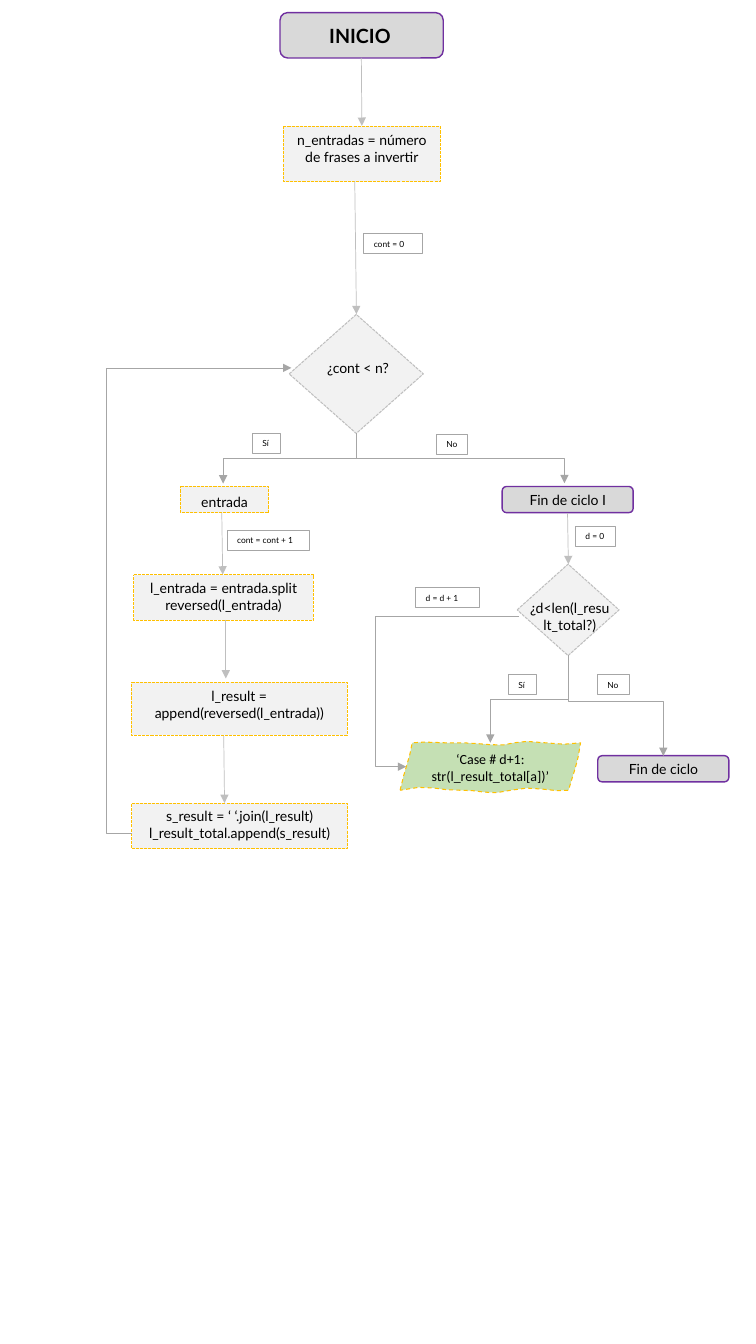
"""Draw the flowchart of a program that reverses phrases."""
from dataclasses import dataclass
from typing import NamedTuple

from lxml import etree
from pptx import Presentation
from pptx.dml.color import RGBColor
from pptx.enum import dml, shapes, text
from pptx.oxml import ns
from pptx.util import Pt

FORM = shapes.MSO_SHAPE
DASH = dml.MSO_LINE


class Style(NamedTuple):
    """Outline, fill and border of a kind of node."""
    form: int
    fill: str
    edge: str
    width: float
    dash: int | None


END = Style(FORM.FLOWCHART_ALTERNATE_PROCESS, "D9D9D9", "7030A0", 1, None)
STEP = Style(FORM.FLOWCHART_PROCESS, "F2F2F2", "FFC000", 0.75, DASH.SQUARE_DOT)
TEST = Style(FORM.FLOWCHART_DECISION, "F2F2F2", "BFBFBF", 0.75, DASH.SQUARE_DOT)


@dataclass
class Node:
    """A box with a caption set off from its corner by dx, dy and dw."""
    style: Style
    words: str
    x: float
    y: float
    w: float
    h: float
    rows: int = 1
    dx: float = 0
    dy: float = 0
    dw: float = 0
    size: int = 10
    bold: bool = False


class Tag(NamedTuple):
    """A small framed note beside an arrow."""
    words: str
    x: float
    y: float
    w: float


class Link(NamedTuple):
    """An arrow; bend is the share of the run before its elbow."""
    x: float
    y: float
    to_x: float
    to_y: float
    bend: float | None = None
    down: bool = False


NODES = [
    Node(END, "INICIO", 200, 9, 116.6, 32.4, 1, 8.2, 4.5, -18.7, 14, True),
    Node(STEP, "n_entradas = número de frases a invertir", 202.4, 90.2, 112, 39.5, 2),
    Node(TEST, "¿cont < n?", 206.6, 224.6, 95.8, 85, dx=1.2, dy=28.8),
    Node(STEP, "entrada", 128.9, 347.4, 63, 18.8, dy=1.8),
    Node(STEP, "l_entrada = entrada.split\nreversed(l_entrada)", 95.5, 410.4, 128.4, 32.8, 2),
    Node(STEP, "l_result = append(reversed(l_entrada))", 93.9, 487.3, 154, 37.9, 2),
    Node(STEP, "s_result = ‘ ‘.join(l_result)\nl_result_total.append(s_result)",
         94, 573.6, 154.3, 32.8, 2),
    Node(END, "Fin de ciclo I", 358.7, 347.5, 93.6, 18.7, 1, 6.2, -0.3, -12.2),
    Node(TEST, "¿d<len(l_result_total?)", 369.4, 403, 72.8, 65.3, 2, 1.2, 21.6),
    Node(END, "Fin de ciclo", 427, 539.8, 93.6, 18.7, 1, 6.2, 0, -12.2),
]
TAGS = [
    Tag("cont = 0", 259.9, 167, 41.8), Tag("No", 311.8, 310.3, 22.3),
    Tag("Sí", 180.3, 309.4, 19.8), Tag("cont = cont + 1", 162.3, 378.7, 59),
    Tag("d = 0", 411.1, 375.8, 28.8), Tag("Sí", 363.2, 482, 20.2),
    Tag("No", 426.8, 482, 22.8), Tag("d = d + 1", 297, 419.8, 45.4),
]
LINKS = [
    Link(258.1, 41.4, 258.5, 89.9), Link(253.4, 129.6, 254.6, 224.4),
    Link(158.4, 366.5, 159.1, 410.4), Link(161.3, 442.8, 161.3, 484.6),
    Link(159.8, 525.6, 160.4, 573.6), Link(405.4, 366.5, 406, 403),
    Link(94.3, 595.4, 208.1, 262.8, -0.16), Link(370.8, 440.6, 290.2, 547.6, 1.27),
    Link(254.9, 309.6, 159.4, 345.4, 0.5, True),
    Link(254.9, 309.6, 403.2, 345.2, 0.5, True),
    Link(406.1, 468, 350.2, 530.6, 0.5, True),
    Link(406.1, 468, 473.8, 540, 0.46, True),
]
RIM = [
    (285.8, 564.5), (289.4, 547.9), (292.3, 543.6), (294.5, 530.6),
    (305.3, 529.2), (318.2, 531.4), (330.5, 530.6), (342.7, 530.6),
    (358.6, 534.2), (367.2, 530.6), (375.8, 527), (401.8, 534.2),
    (414.7, 530.6), (412.6, 546.5), (409.7, 551.5), (406.1, 564.5),
    (396.7, 566.6), (379.4, 560.2), (365, 564.5), (349.9, 568.8),
    (342, 563.8), (328.3, 564.5), (314.6, 565.2), (306, 559.4), (285.8, 564.5),
]


def paint(target, tone: str) -> None:
    """Give a fill or a font one solid colour."""
    fill = getattr(target, "fill", target)
    fill.solid()
    fill.fore_color.rgb = RGBColor.from_string(tone)


def stroke(line, tone: str, width: float, dash: int | None = None) -> None:
    """Set the colour, width and dash of a line."""
    paint(line, tone)
    line.width = Pt(width)
    if dash is not None:
        line.dash_style = dash


def write(shape, words: str, size: int, face: str = "Lato",
          align: int = text.PP_ALIGN.CENTER, bold: bool = False) -> None:
    """Fill a shape with wrapped, formatted text."""
    frame = shape.text_frame
    frame.text = words
    frame.word_wrap = True
    for para in frame.paragraphs:
        para.alignment = align
        for run in para.runs:
            run.font.name, run.font.size, run.font.bold = face, Pt(size), bold
            paint(run.font, "000000")


def add_node(slide, node: Node) -> None:
    """Draw a box grouped with its caption."""
    parts = slide.shapes.add_group_shape().shapes
    style = node.style
    box = parts.add_shape(style.form, Pt(node.x), Pt(node.y), Pt(node.w), Pt(node.h))
    box.shadow.inherit = False
    paint(box, style.fill)
    stroke(box.line, style.edge, style.width, style.dash)
    tall = 1.2 * node.size * node.rows + 7.2
    note = parts.add_textbox(Pt(node.x + node.dx), Pt(node.y + node.dy),
                             Pt(node.w + node.dw), Pt(tall))
    write(note, node.words, node.size, bold=node.bold)


def add_tag(slide, tag: Tag) -> None:
    """Draw a framed note."""
    box = slide.shapes.add_textbox(Pt(tag.x), Pt(tag.y), Pt(tag.w), Pt(14.4))
    stroke(box.line, "A6A6A6", 0.75)
    write(box, tag.words, 6, align=text.PP_ALIGN.LEFT)
    box.text_frame.margin_right = 0


def add_link(slide, link: Link) -> None:
    """Draw an arrow, turned a quarter when it sets off downwards."""
    x, y, to_x, to_y, bend, down = link
    right = to_x > x
    if down:
        mid_x, mid_y = (x + to_x) / 2, (y + to_y) / 2
        half, rise = (to_y - y) / 2, abs(to_x - x) / 2
        side = -half if right else half
        x, to_x, y, to_y = mid_x - side, mid_x + side, mid_y - rise, mid_y + rise
    kind = shapes.MSO_CONNECTOR.STRAIGHT if bend is None else shapes.MSO_CONNECTOR.ELBOW
    arrow = slide.shapes.add_connector(kind, Pt(x), Pt(y), Pt(to_x), Pt(to_y))
    stroke(arrow.line, "BFBFBF" if bend is None else "A6A6A6", 0.5)
    props = arrow._element.spPr
    etree.SubElement(props.find(ns.qn("a:ln")), ns.qn("a:tailEnd"), type="triangle")
    etree.SubElement(props, ns.qn("a:effectLst"))
    if down:
        props.find(ns.qn("a:xfrm")).set("rot", "16200000" if right else "5400000")
    if bend is not None:
        guides = props.find(ns.qn("a:prstGeom")).find(ns.qn("a:avLst"))
        etree.SubElement(guides, ns.qn("a:gd"), name="adj1",
                         fmla=f"val {round(bend * 100000)}")


def add_wave(slide, knots: list, steps: int = 4):
    """Trace a closed outline of cubic curves."""
    dots = []
    for i in range(0, len(knots) - 1, 3):
        for k in range(1, steps + 1):
            t = k / steps
            mix = ((1 - t) ** 3, 3 * t * (1 - t) ** 2, 3 * t * t * (1 - t), t ** 3)
            dots.append(tuple(Pt(sum(m * p[axis] for m, p in zip(mix, knots[i:i + 4])))
                              for axis in (0, 1)))
    pen = slide.shapes.build_freeform(*dots[-1])
    pen.add_line_segments(dots[:-1], close=True)
    wave = pen.convert_to_shape()
    wave.shadow.inherit = False
    return wave


def main() -> None:
    """Build the slide and save it."""
    deck = Presentation()
    deck.slide_width, deck.slide_height = Pt(540), Pt(960)
    slide = deck.slides.add_slide(deck.slide_layouts[6])
    for node in NODES:
        add_node(slide, node)
    wave = add_wave(slide, RIM)
    paint(wave, "C5E0B4")
    stroke(wave.line, "FFC000", 0.75, DASH.DASH)
    write(wave, "‘Case # d+1: str(l_result_total[a])’", 10, "Calibri")
    wave.text_frame.vertical_anchor = text.MSO_ANCHOR.MIDDLE
    for link in LINKS:
        add_link(slide, link)
    for tag in TAGS:
        add_tag(slide, tag)
    deck.save("out.pptx")


main()
